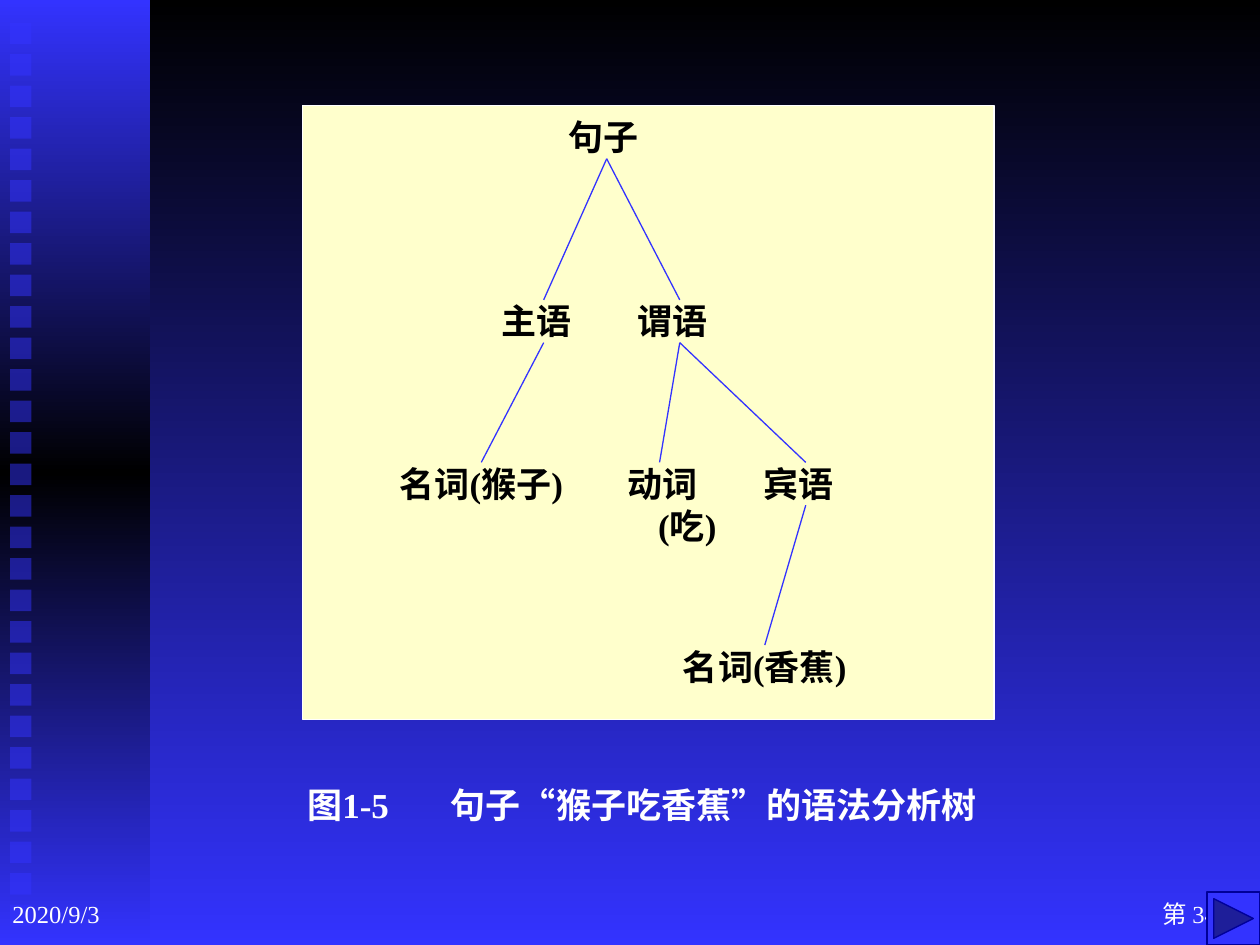
from copy import deepcopy
from lxml import etree
from pptx import Presentation
from pptx.dml.color import RGBColor
from pptx.enum.shapes import MSO_CONNECTOR, MSO_SHAPE
from pptx.enum.text import MSO_ANCHOR, PP_ALIGN
from pptx.oxml.ns import qn
from pptx.util import Inches, Pt

RECTANGLE = MSO_SHAPE.RECTANGLE
NEXT_BUTTON = MSO_SHAPE.ACTION_BUTTON_FORWARD_OR_NEXT
STRAIGHT = MSO_CONNECTOR.STRAIGHT
TOP, MIDDLE = MSO_ANCHOR.TOP, MSO_ANCHOR.MIDDLE
LEFT, CENTER, RIGHT = PP_ALIGN.LEFT, PP_ALIGN.CENTER, PP_ALIGN.RIGHT
TOP_SIDE, BOTTOM_SIDE = 0, 2

FONT = "Times New Roman"
BLUE, BLACK, WHITE, CREAM, NAVY = "3333FF", "000000", "FFFFFF", "FFFFCC", "000099"

NODE_HEIGHT = 0.34
NODES = {
    "sentence": ("句子", 4.4, 0.92, 0.83, 0.05),
    "subject": ("主语", 3.9, 2.38, 0.83, 0.12),
    "predicate": ("谓语", 4.98, 2.38, 0.83, 0.12),
    "monkey": ("名词(猴子)", 3.07, 3.67, 1.5, 0),
    "verb": ("动词(吃)", 4.65, 3.67, 1.17, 0.06),
    "object": ("宾语", 5.98, 3.67, 0.83, 0.12),
    "banana": ("名词(香蕉)", 5.32, 5.12, 1.5, 0),
}
BRANCHES = [
    ("sentence", "subject"), ("sentence", "predicate"), ("subject", "monkey"),
    ("predicate", "verb"), ("predicate", "object"), ("object", "banana"),
]
CAPTION = "图1-5\t句子“猴子吃香蕉”的语法分析树"
FOOTERS = [("2020/9/3", 0, LEFT), ("第 34 页", 7.92, RIGHT)]
SQUARE_COUNT, SQUARE_PITCH = 29, 0.25


def color(value):
    return RGBColor.from_string(value)


def fill_gradient(fill, colors):
    fill.gradient()
    fill.gradient_angle = 270
    stop_list = fill.gradient_stops[0]._gs.getparent()
    while len(stop_list) < len(colors):
        stop_list.append(deepcopy(stop_list[0]))
    for i, (stop, value) in enumerate(zip(fill.gradient_stops, colors)):
        stop.position = i / (len(colors) - 1)
        stop.color.rgb = color(value)


def add_block(slide, kind, box, fill=None, line=None):
    block = slide.shapes.add_shape(kind, *map(Inches, box))
    block.shadow.inherit = False
    if fill:
        block.fill.solid()
        block.fill.fore_color.rgb = color(fill)
    if line:
        block.line.color.rgb = color(line)
        block.line.width = Pt(0.75)
    else:
        block.line.fill.background()
    return block


def add_text(slide, text, box, size, ink, align, bold=False, anchor=TOP,
             insets=(0.1, 0.05, 0.1, 0.05), indent=None, tab=None):
    label = slide.shapes.add_textbox(*map(Inches, box))
    frame = label.text_frame
    frame.word_wrap = True
    frame.vertical_anchor = anchor
    (frame.margin_left, frame.margin_top,
     frame.margin_right, frame.margin_bottom) = map(Inches, insets)
    paragraph = frame.paragraphs[0]
    paragraph.alignment = align
    properties = paragraph._p.get_or_add_pPr()
    if indent:
        properties.set("marL", str(Inches(indent[0])))
        properties.set("indent", str(Inches(indent[1])))
    if tab:
        tabs = etree.SubElement(properties, qn("a:tabLst"))
        etree.SubElement(tabs, qn("a:tab"), pos=str(Inches(tab)), algn="l")
    run = paragraph.add_run()
    run.text = text
    run.font.name = FONT
    run.font.size = Pt(size)
    run.font.bold = bold
    run.font.color.rgb = color(ink)
    return label


def add_sidebar(slide):
    band = add_block(slide, RECTANGLE, (0, 0, 1.19, 7.5))
    fill_gradient(band.fill, [BLUE, BLACK, BLUE])
    for i in range(SQUARE_COUNT):
        top = 0.18 + i * SQUARE_PITCH
        square = add_block(slide, RECTANGLE, (0.08, top, 0.17, 0.17), BLUE)
        tint = square._element.spPr.find(qn("a:solidFill"))[0]
        etree.SubElement(tint, qn("a:alpha"), val="50000")


def add_tree(slide):
    add_block(slide, RECTANGLE, (2.4, 0.84, 5.49, 4.87), CREAM, WHITE)
    labels = {}
    for key, (text, left, top, width, right_inset) in NODES.items():
        labels[key] = add_text(
            slide, text, (left, top, width, NODE_HEIGHT), 20, BLACK, CENTER, bold=True,
            insets=(0, 0, right_inset, 0), indent=(0.5, -0.4) if key == "verb" else None)
    for parent, child in BRANCHES:
        branch = slide.shapes.add_connector(STRAIGHT, 0, 0, 0, 0)
        branch.begin_connect(labels[parent], BOTTOM_SIDE)
        branch.end_connect(labels[child], TOP_SIDE)
        branch.line.color.rgb = color(BLUE)
        branch.line.width = Pt(0.75)
        etree.SubElement(branch._element.spPr, qn("a:effectLst"))


def main():
    deck = Presentation()
    deck.slide_width, deck.slide_height = Inches(10), Inches(7.5)
    slide = deck.slides.add_slide(deck.slide_layouts[6])
    fill_gradient(slide.background.fill, [BLACK, BLUE])
    add_sidebar(slide)
    for text, left, align in FOOTERS:
        add_text(slide, text, (left, 7, 2.08, 0.5), 14, WHITE, align, anchor=MIDDLE)
    add_tree(slide)
    add_text(slide, CAPTION, (2.34, 6.17, 5.67, 0.43), 20, WHITE, LEFT, bold=True, tab=1.14)
    add_block(slide, NEXT_BUTTON, (9.58, 7.08, 0.42, 0.42), BLUE, NAVY)
    deck.save("out.pptx")


if __name__ == "__main__":
    main()
